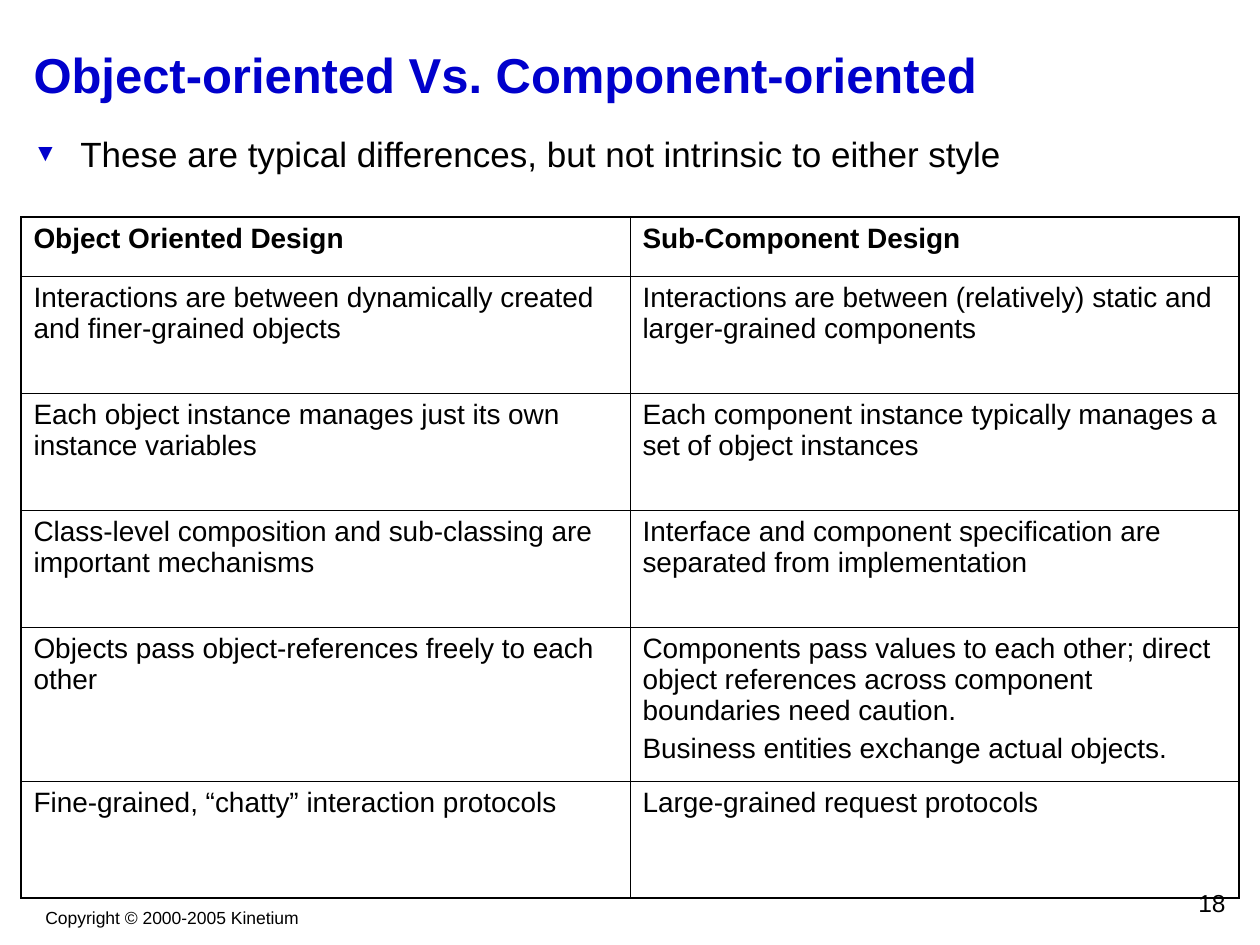
from dataclasses import dataclass

from lxml.etree import SubElement
from pptx import Presentation
from pptx.dml.color import RGBColor
from pptx.enum.text import MSO_ANCHOR, MSO_AUTO_SIZE, PP_ALIGN
from pptx.oxml.ns import qn
from pptx.util import Emu, Pt

TITLE = "Object-oriented Vs. Component-oriented"
BULLET = "These are typical differences, but not intrinsic to either style"
COPYRIGHT = "Copyright © 2000-2005 Kinetium"
PAGE_NUMBER = "18"
COMPARISON = [
    (["Object Oriented Design"], ["Sub-Component Design"]),
    (["Interactions are between dynamically created and finer-grained objects"],
     ["Interactions are between (relatively) static and larger-grained components"]),
    (["Each object instance manages just its own instance variables"],
     ["Each component instance typically manages a set of object instances"]),
    (["Class-level composition and sub-classing are important mechanisms"],
     ["Interface and component specification are separated from implementation"]),
    (["Objects pass object-references freely to each other"],
     ["Components pass values to each other; direct object references across "
      "component boundaries need caution.",
      "Business entities exchange actual objects."]),
    (["Fine-grained, “chatty” interaction protocols"],
     ["Large-grained request protocols"]),
]
HEADER_HEIGHT, ROW_HEIGHT, TALL_HEIGHT = 59, 117, 154
ROW_HEIGHTS = [HEADER_HEIGHT] + [
    TALL_HEIGHT if max(map(len, row)) > 1 else ROW_HEIGHT for row in COMPARISON[1:]
]
LEFT, WIDTH = 21, 1218


@dataclass(frozen=True)
class Theme:
    font: str = "Arial"
    accent: str = "0000CC"
    ink: str = "000000"
    title: int = 28
    body: int = 20
    cell: int = 16
    page: int = 14
    footer: int = 10
    outer_line: float = 1.08
    inner_line: float = 0.45


THEME = Theme()


def px(value):
    return Emu(round(value * 914400 / 126))


def box(*values):
    return [px(value) for value in values]


def write_text(frame, paragraphs, size, color=THEME.ink, bold=False,
               align=PP_ALIGN.LEFT, gap=0, bullet=None, wrap=True):
    frame.word_wrap = wrap
    frame.margin_left = frame.margin_right = Pt(7.2)
    frame.margin_top = frame.margin_bottom = Pt(3.6)
    for index, text in enumerate(paragraphs):
        paragraph = frame.add_paragraph() if index else frame.paragraphs[0]
        paragraph.alignment = align
        paragraph.space_before = Pt(gap if index else 0)
        if bullet:
            add_bullet(paragraph, bullet)
        run = paragraph.add_run()
        run.text = text
        run.font.name = THEME.font
        run.font.size = Pt(size)
        run.font.bold = bold
        run.font.color.rgb = RGBColor.from_string(color)


def add_bullet(paragraph, character):
    properties = paragraph._p.get_or_add_pPr()
    indent = px(47)
    properties.set("marL", str(indent))
    properties.set("indent", str(-indent))
    color = SubElement(properties, qn("a:buClr"))
    SubElement(color, qn("a:srgbClr"), val=THEME.accent)
    SubElement(properties, qn("a:buSzPct"), val="70000")
    SubElement(properties, qn("a:buFont"), typeface=THEME.font)
    SubElement(properties, qn("a:buChar"), char=character)


def set_borders(cell, outer_sides):
    properties = cell._tc.get_or_add_tcPr()
    for side in "LRTB":
        width = THEME.outer_line if side in outer_sides else THEME.inner_line
        line = SubElement(properties, qn(f"a:ln{side}"), w=str(Pt(width)))
        fill = SubElement(line, qn("a:solidFill"))
        SubElement(fill, qn("a:srgbClr"), val=THEME.ink)


def add_text(slide, place, text, size, **options):
    shape = slide.shapes.add_textbox(*box(*place))
    write_text(shape.text_frame, [text], size, **options)


def add_comparison(slide):
    row_count, column_count = len(COMPARISON), len(COMPARISON[0])
    table = slide.shapes.add_table(
        row_count, column_count, *box(LEFT, 217, WIDTH, sum(ROW_HEIGHTS))
    ).table
    table.first_row = table.horz_banding = False
    for column in table.columns:
        column.width = px(WIDTH / column_count)
    for row_index, (row, height) in enumerate(zip(COMPARISON, ROW_HEIGHTS)):
        table.rows[row_index].height = px(height)
        for column_index, paragraphs in enumerate(row):
            cell = table.cell(row_index, column_index)
            write_text(cell.text_frame, paragraphs, THEME.cell,
                       bold=row_index == 0, gap=4)
            outer_sides = "L" if column_index == 0 else "R"
            if row_index == 0:
                outer_sides += "T"
            if row_index == row_count - 1:
                outer_sides += "B"
            set_borders(cell, outer_sides)
            cell.fill.background()


def main():
    presentation = Presentation()
    presentation.slide_width, presentation.slide_height = box(1260, 945)
    slide = presentation.slides.add_slide(presentation.slide_layouts[5])

    title = slide.shapes.title
    title.left, title.top, title.width, title.height = box(LEFT, 21, WIDTH, 105)
    title.text_frame.auto_size = MSO_AUTO_SIZE.NONE
    title.text_frame.vertical_anchor = MSO_ANCHOR.MIDDLE
    write_text(title.text_frame, [TITLE], THEME.title, color=THEME.accent, bold=True)

    add_text(slide, (LEFT, 126, WIDTH, 63), BULLET, THEME.body, bullet="▼")
    add_comparison(slide)
    add_text(slide, (33, 901, 278, 34), COPYRIGHT, THEME.footer,
             align=PP_ALIGN.CENTER, wrap=False)
    add_text(slide, (976, 882, 262, 42), PAGE_NUMBER, THEME.page, align=PP_ALIGN.RIGHT)
    presentation.save("out.pptx")


if __name__ == "__main__":
    main()
